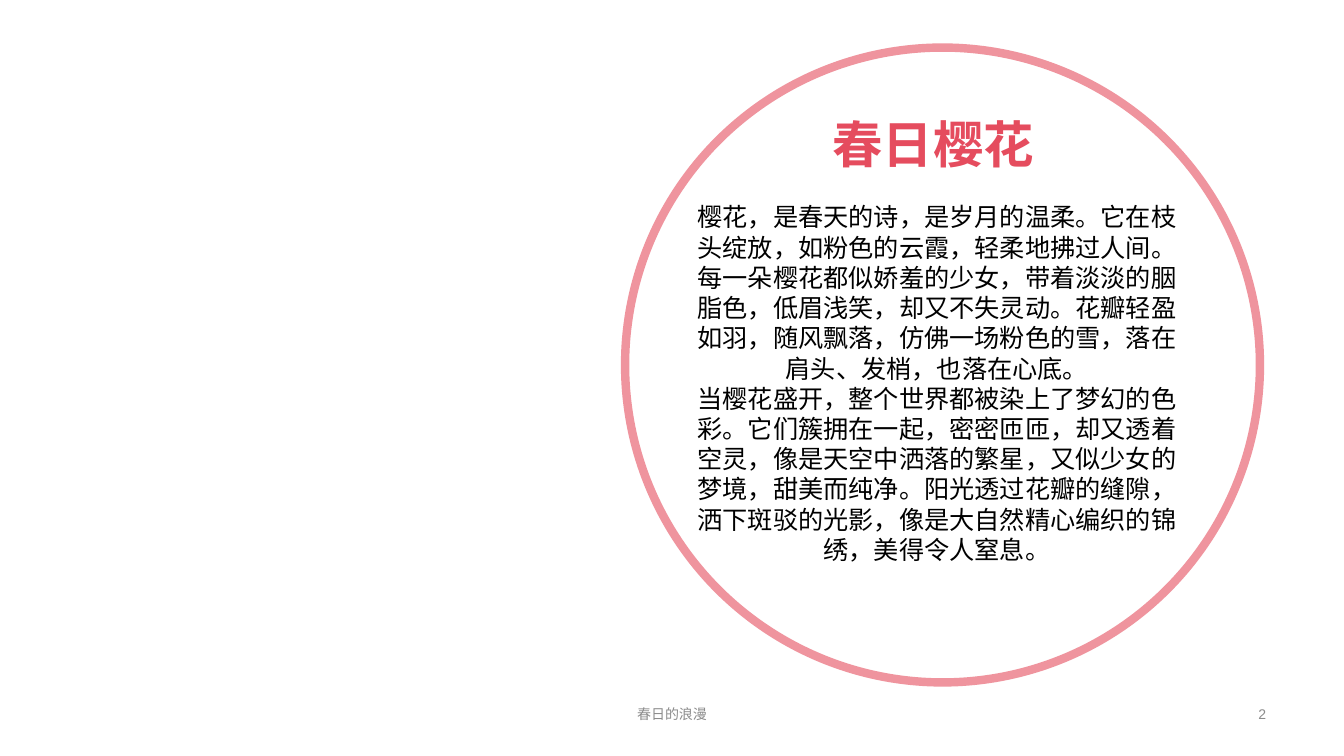
from lxml import etree
from pptx import Presentation
from pptx import util as u
from pptx.dml.color import RGBColor
from pptx.enum import shapes, text
from pptx.oxml import ns

COLORS = {
    "white": "FFFFFF",
    "body": "000000",
    "ring": "EF949E",
    "title": "E54C5E",
    "footer": "8C8C8C",
}
CJK_FONT = "Noto Sans CJK SC"
FOOTER_FONT = "Arial"

BLOSSOM_TEXT = [
    "樱花，是春天的诗，是岁月的温柔。它在枝头绽放，如粉色的云霞，轻柔地拂过人间。"
    "每一朵樱花都似娇羞的少女，带着淡淡的胭脂色，低眉浅笑，却又不失灵动。"
    "花瓣轻盈如羽，随风飘落，仿佛一场粉色的雪，落在肩头、发梢，也落在心底。",
    "当樱花盛开，整个世界都被染上了梦幻的色彩。它们簇拥在一起，密密匝匝，却又透着空灵，"
    "像是天空中洒落的繁星，又似少女的梦境，甜美而纯净。"
    "阳光透过花瓣的缝隙，洒下斑驳的光影，像是大自然精心编织的锦绣，美得令人窒息。",
]


class SlideBuilder:
    def __init__(self, slide, colors):
        self.slide = slide
        self.colors = colors

    def color(self, name):
        return RGBColor.from_string(self.colors[name])

    def shape(self, kind, box, fill=None, opacity=100, line=None, width=0):
        shape = self.slide.shapes.add_shape(kind, *map(u.Pt, box))
        shape.shadow.inherit = False
        if fill:
            shape.fill.solid()
            shape.fill.fore_color.rgb = self.color(fill)
            value = shape.element.spPr.find(".//" + ns.qn("a:srgbClr"))
            etree.SubElement(value, ns.qn("a:alpha"), val=str(opacity * 1000))
        else:
            shape.fill.background()
        if line:
            shape.line.color.rgb = self.color(line)
            shape.line.width = u.Pt(width)
        else:
            shape.line.fill.background()

    def add_text(self, shape, lines, size, color, font=CJK_FONT, bold=False,
                 align=text.PP_ALIGN.CENTER, anchor=text.MSO_ANCHOR.TOP,
                 fit=text.MSO_AUTO_SIZE.SHAPE_TO_FIT_TEXT):
        frame = shape.text_frame
        frame.word_wrap = True
        frame.auto_size = fit
        frame.vertical_anchor = anchor
        for index, line in enumerate(lines):
            paragraph = frame.add_paragraph() if index else frame.paragraphs[0]
            paragraph.alignment = align
            run = paragraph.add_run()
            run.text = line
            run.font.name = font
            run.font.size = u.Pt(size)
            run.font.bold = bold
            run.font.color.rgb = self.color(color)
            # East Asian typeface
            latin = paragraph._p.findall(".//" + ns.qn("a:latin"))[-1]
            latin.addnext(etree.Element(ns.qn("a:ea"), typeface=CJK_FONT))

    def text_box(self, box, lines, size, color, **style):
        shape = self.slide.shapes.add_textbox(*map(u.Pt, box))
        self.add_text(shape, lines, size, color, **style)

    def title(self, box, line, size, color):
        shape = self.slide.shapes.title
        shape.left, shape.top, shape.width, shape.height = map(u.Pt, box)
        self.add_text(shape, [line], size, color, bold=True)
        # Bring the title above the veil
        shape.element.getparent().append(shape.element)

    def footer(self, left, width, line, align):
        self.text_box((left, 497.5, width, 25), [line], 10, "footer",
                      font=FOOTER_FONT, align=align,
                      anchor=text.MSO_ANCHOR.MIDDLE,
                      fit=text.MSO_AUTO_SIZE.NONE)


def main():
    presentation = Presentation()
    presentation.slide_width = u.Pt(960)
    presentation.slide_height = u.Pt(540)
    slide = presentation.slides.add_slide(presentation.slide_layouts[5])
    builder = SlideBuilder(slide, COLORS)

    # Translucent veil
    builder.shape(shapes.MSO_SHAPE.RECTANGLE, (26.5, 15, 907, 510.5),
                  fill="white", opacity=50)

    # Blossom text inside the ring
    builder.text_box((487.5, 140.5, 363.5, 291), BLOSSOM_TEXT, 18, "body")
    builder.shape(shapes.MSO_SHAPE.OVAL, (446.5, 34, 453.5, 453.5),
                  line="ring", width=6)
    builder.title((577.5, 77, 178, 51), "春日樱花", 36, "title")

    # Page number and footer
    builder.footer(699, 212.5, "2", text.PP_ALIGN.RIGHT)
    builder.footer(324, 312, "春日的浪漫", text.PP_ALIGN.CENTER)

    presentation.save("out.pptx")


if __name__ == "__main__":
    main()
